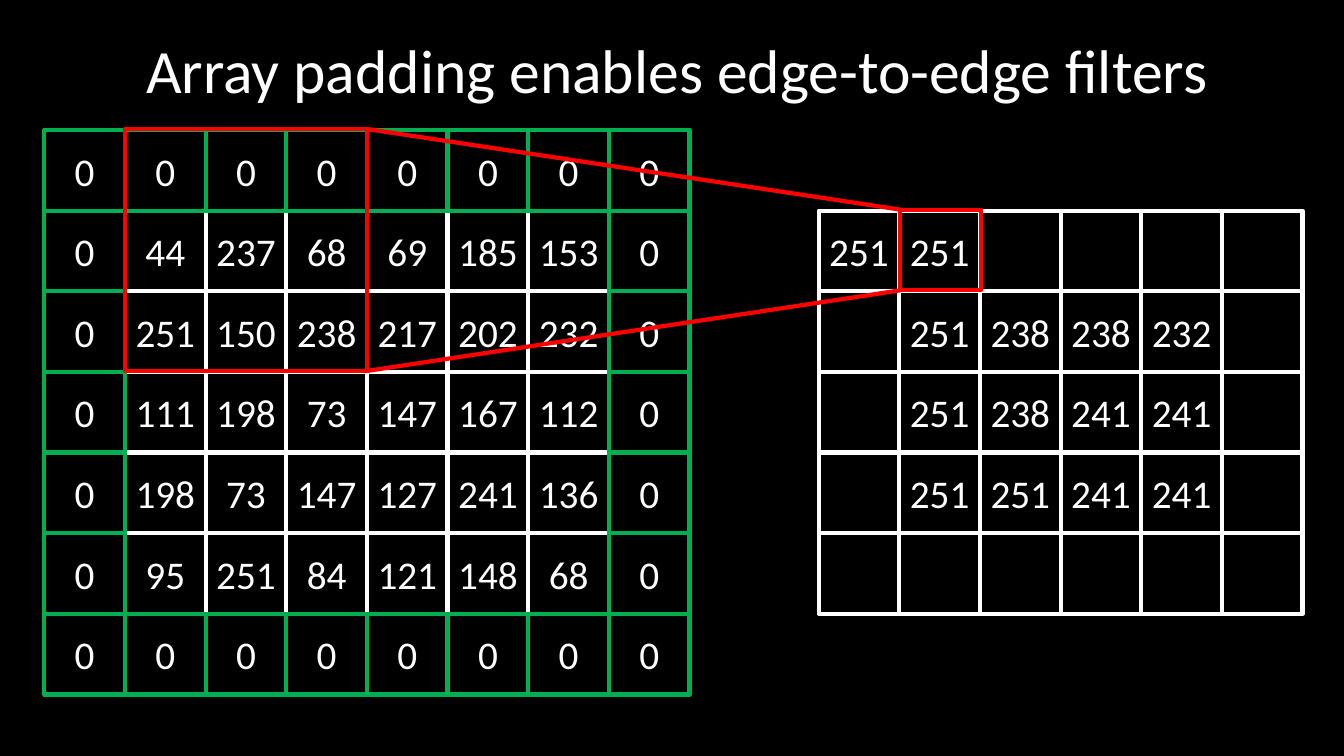
from itertools import product

from lxml.etree import SubElement
from pptx import Presentation
from pptx.dml.color import RGBColor
from pptx.enum.shapes import MSO_CONNECTOR, MSO_SHAPE
from pptx.enum.text import MSO_ANCHOR, PP_ALIGN
from pptx.oxml.ns import qn
from pptx.util import Pt

EMU_PER_PX = 9144
CELL = 80
WINDOW_CELLS = 3
FONT = "Calibri"
BLACK = RGBColor(0x00, 0x00, 0x00)
WHITE = RGBColor(0xFF, 0xFF, 0xFF)
GREEN = RGBColor(0x00, 0xB0, 0x50)
RED = RGBColor(0xFF, 0x00, 0x00)

INPUT_VALUES = [
    [44, 237, 68, 69, 185, 153],
    [251, 150, 238, 217, 202, 232],
    [111, 198, 73, 147, 167, 112],
    [198, 73, 147, 127, 241, 136],
    [95, 251, 84, 121, 148, 68],
]
OUTPUT_VALUES = [
    [251, 251, "", "", "", ""],
    ["", 251, 238, 238, 232, ""],
    ["", 251, 238, 241, 241, ""],
    ["", 251, 251, 241, 241, ""],
    ["", "", "", "", "", ""],
]


def px(length):
    """Turn a length in px into EMU."""
    return length * EMU_PER_PX


def add_text(text_frame, text, size):
    """Write one centred white run in the middle of a text frame."""
    text_frame.vertical_anchor = MSO_ANCHOR.MIDDLE
    paragraph = text_frame.paragraphs[0]
    paragraph.alignment = PP_ALIGN.CENTER
    run = paragraph.add_run()
    run.text = text
    run.font.name = FONT
    run.font.size = Pt(size)
    run.font.color.rgb = WHITE
    return paragraph


def add_square(shapes, left, top, side, color, text=""):
    """Add an outlined square with an optional value."""
    square = shapes.add_shape(MSO_SHAPE.RECTANGLE, px(left), px(top), px(side), px(side))
    square.shadow.inherit = False
    square.fill.background()
    square.line.color.rgb = color
    square.line.width = Pt(3)
    if text:
        text_frame = square.text_frame
        text_frame.margin_left = text_frame.margin_right = 0
        add_text(text_frame, text, 28)


def add_line(shapes, start, end):
    """Add a straight red line between two points."""
    line = shapes.add_connector(MSO_CONNECTOR.STRAIGHT, *map(px, start + end))
    line.line.color.rgb = RED
    line.line.width = Pt(3)
    SubElement(line._element.spPr, qn("a:effectLst"))


def add_title(slide, left, top, width, height):
    """Place and format the slide title."""
    title = slide.shapes.title
    title.left, title.top, title.width, title.height = map(px, (left, top, width, height))
    title.text_frame.word_wrap = True
    paragraph = add_text(title.text_frame, "Array padding enables edge-to-edge filters", 44)
    paragraph.line_spacing = 0.9


def add_grid(slide, left, top, values):
    """Add a grouped grid of white cells holding the values."""
    group = slide.shapes.add_group_shape()
    for row, row_values in enumerate(values):
        for column, value in enumerate(row_values):
            add_square(group.shapes, left + column * CELL, top + row * CELL,
                       CELL, WHITE, str(value))


def add_padding(slide, left, top, rows, columns):
    """Add the ring of green zero cells around a grid."""
    for row, column in product(range(rows), range(columns)):
        if row in (0, rows - 1) or column in (0, columns - 1):
            add_square(slide.shapes, left + column * CELL, top + row * CELL,
                       CELL, GREEN, "0")


def add_filter(slide, window_left, window_top, result_left, result_top):
    """Add the red filter window, its result cell and the lines joining them."""
    shapes = slide.shapes.add_group_shape().shapes
    window_side = WINDOW_CELLS * CELL
    window_right = window_left + window_side
    add_square(shapes, result_left, result_top, CELL, RED)
    add_square(shapes, window_left, window_top, window_side, RED)
    add_line(shapes, (window_right, window_top), (result_left, result_top))
    add_line(shapes, (window_right, window_top + window_side),
             (result_left, result_top + CELL))


def build_slide(presentation):
    """Build the array padding slide."""
    slide = presentation.slides.add_slide(presentation.slide_layouts[5])
    slide.background.fill.solid()
    slide.background.fill.fore_color.rgb = BLACK
    padded_left, padded_top, output_left = 44, 129, 812
    input_left, input_top = padded_left + CELL, padded_top + CELL
    add_title(slide, 97, 0, 1150, 145)
    add_grid(slide, input_left, input_top, INPUT_VALUES)
    add_grid(slide, output_left, input_top, OUTPUT_VALUES)
    add_padding(slide, padded_left, padded_top,
                len(INPUT_VALUES) + 2, len(INPUT_VALUES[0]) + 2)
    add_filter(slide, input_left, padded_top - 1, output_left + CELL + 1, input_top - 1)


def main():
    """Create and save the presentation."""
    presentation = Presentation()
    presentation.slide_width, presentation.slide_height = px(1333), px(750)
    build_slide(presentation)
    presentation.save("out.pptx")


if __name__ == "__main__":
    main()
